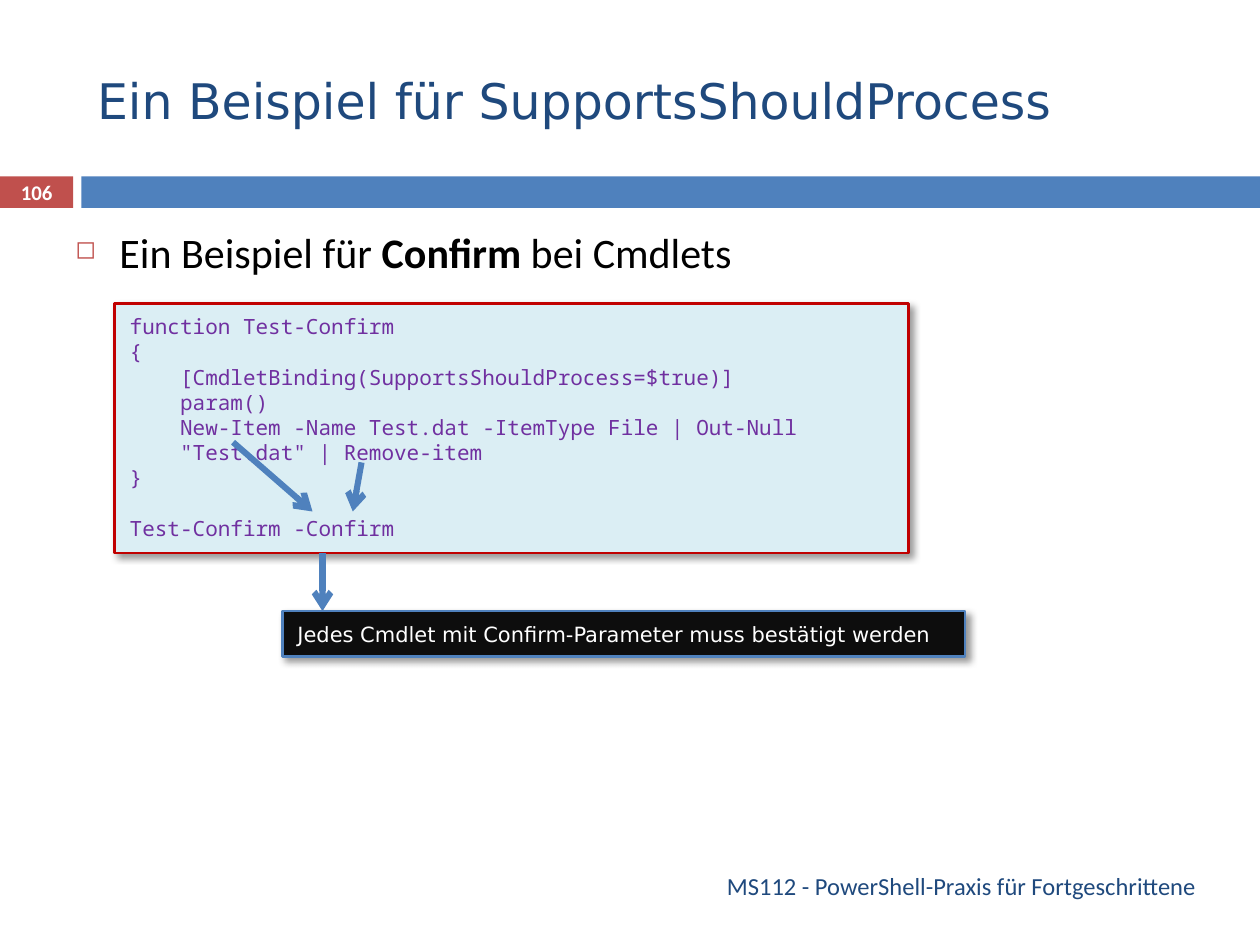
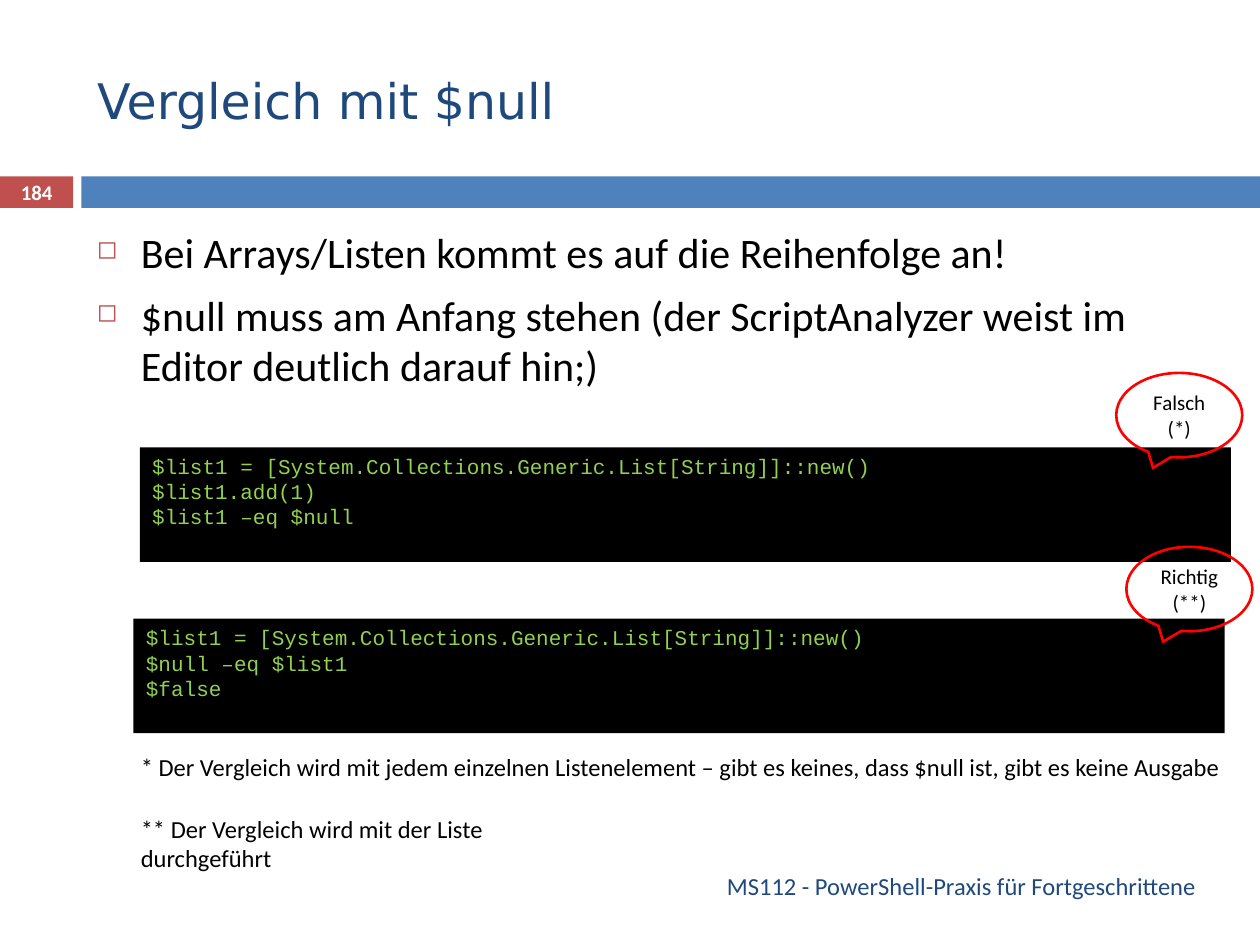
import pptx
import pptx.dml.color
import pptx.enum.shapes
import pptx.enum.text
import pptx.oxml
import pptx.oxml.ns
import pptx.util
from lxml import etree

Pt = pptx.util.Pt
SHAPE = pptx.enum.shapes.MSO_SHAPE
ALIGN = pptx.enum.text.PP_ALIGN
ANCHOR = pptx.enum.text.MSO_ANCHOR

BLUE, NAVY, RED, BLACK, WHITE = "4F81BD", "1F497D", "C0504D", "000000", "FFFFFF"
BODY_FONT, TITLE_FONT = "Calibri", "DejaVu Sans"
LEFT, WIDTH = 48.25, 642.25
CODE_INSETS = (8.64, 5.76, 7.2, 5.76)


def rgb(value):
    return pptx.dml.color.RGBColor.from_string(value)


def add_xml(parent, xml):
    ns = pptx.oxml.ns.nsdecls("a")
    for child in list(pptx.oxml.parse_xml(f"<a:wrap {ns}>{xml}</a:wrap>")):
        parent.append(child)


def write(sp, paragraphs, size=12, font=BODY_FONT, color=BLACK, bold=False,
          align=ALIGN.LEFT, anchor=ANCHOR.TOP, insets=(7.2, 3.6, 7.2, 3.6),
          bullet=False, gaps=None):
    tf = sp.text_frame
    tf.auto_size = pptx.enum.text.MSO_AUTO_SIZE.NONE
    tf.word_wrap = True
    tf.vertical_anchor = anchor
    tf.margin_left, tf.margin_top, tf.margin_right, tf.margin_bottom = map(Pt, insets)
    for i, runs in enumerate(paragraphs):
        p = tf.paragraphs[0] if i == 0 else tf.add_paragraph()
        p.alignment = align
        p.space_before = Pt((gaps or {}).get(i, 7 if bullet and i else 0))
        if bullet:
            pPr = p._p.get_or_add_pPr()
            pPr.set("marL", str(Pt(25.2)))
            pPr.set("indent", str(-Pt(25.2)))
            add_xml(pPr, f'<a:buClr><a:srgbClr val="{RED}"/></a:buClr>'
                    '<a:buSzPct val="60000"/><a:buChar char="◻"/>')
        for text, strong in [(runs, bold)] if isinstance(runs, str) else runs:
            r = p.add_run()
            r.text = text
            r.font.size, r.font.name, r.font.bold = Pt(size), font, strong
            r.font.color.rgb = rgb(color)


class Deck:
    def __init__(self):
        self.prs = pptx.Presentation()
        self.prs.slide_width, self.prs.slide_height = Pt(720), Pt(540)

    def slide(self, title, number):
        self.s = self.prs.slides.add_slide(self.prs.slide_layouts[5])
        self.shape((0, 100.8, 41.8, 18), fill=RED)
        self.shape((46.5, 100.8, 673.5, 18), fill=BLUE)
        sp = self.s.shapes.title
        sp.left, sp.top, sp.width, sp.height = map(Pt, (LEFT, 18, WIDTH, 77.75))
        write(sp, [title], size=28, font=TITLE_FONT, color=NAVY, anchor=ANCHOR.MIDDLE)
        self.text((LEFT, 491.75, WIDTH, 28.8),
                  ["MS112 - PowerShell-Praxis für Fortgeschrittene"],
                  size=14, color=NAVY, align=ALIGN.RIGHT, anchor=ANCHOR.MIDDLE)
        self.text((0, 100.1, 41.8, 19.4), [number], size=11.9, color=WHITE,
                  bold=True, align=ALIGN.CENTER, anchor=ANCHOR.MIDDLE)

    def text(self, box, paragraphs, **style):
        write(self.s.shapes.add_textbox(*map(Pt, box)), paragraphs, **style)

    def bullets(self, box, paragraphs):
        self.text(box, paragraphs, size=24, bullet=True)

    def shape(self, box, paragraphs=(), kind=SHAPE.RECTANGLE, fill=None, line=None,
              shadow=False, **style):
        sp = self.s.shapes.add_shape(kind, *map(Pt, box))
        sp.shadow.inherit = False
        if fill:
            sp.fill.solid()
            sp.fill.fore_color.rgb = rgb(fill)
        else:
            sp.fill.background()
        if line:
            sp.line.color.rgb = rgb(line)
            sp.line.width = Pt(1.5)
        else:
            sp.line.fill.background()
        if shadow:
            effects = sp._element.spPr.find(pptx.oxml.ns.qn("a:effectLst"))
            add_xml(effects, f'<a:outerShdw blurRad="{Pt(4)}" dist="{Pt(3)}" '
                    'dir="2700000" algn="tl" rotWithShape="0"><a:srgbClr val="000000">'
                    '<a:alpha val="40000"/></a:srgbClr></a:outerShdw>')
        if paragraphs:
            write(sp, paragraphs, **style)

    def arrow(self, *ends):
        c = self.s.shapes.add_connector(pptx.enum.shapes.MSO_CONNECTOR.STRAIGHT,
                                        *map(Pt, ends))
        c.line.color.rgb = rgb(BLUE)
        c.line.width = Pt(3.5)
        add_xml(c.line._get_or_add_ln(), '<a:tailEnd type="arrow"/>')
        etree.SubElement(c._element.spPr, pptx.oxml.ns.qn("a:effectLst"))

    def console(self, left, top, lines):
        self.shape((left, top, 623.5, 65.5), lines, fill=BLACK,
                   font="Courier New", color="92D050")

    def callout(self, left, top, label):
        self.shape((left, top, 72, 48.25), [label], kind=SHAPE.OVAL_CALLOUT,
                   line="FF0000", align=ALIGN.CENTER, anchor=ANCHOR.MIDDLE)


def confirm_slide(deck):
    deck.slide("Ein Beispiel für SupportsShouldProcess", "106")
    deck.bullets((36, 126, 648, 41.75), [
        [("Ein Beispiel für ", False), ("Confirm", True), (" bei Cmdlets", False)]])
    code = ["function Test-Confirm",
            "{",
            "    [CmdletBinding(SupportsShouldProcess=$true)]",
            "    param()",
            "    New-Item -Name Test.dat -ItemType File | Out-Null",
            '    "Test.dat" | Remove-item',
            "}",
            "Test-Confirm -Confirm"]
    deck.shape((65.5, 173.5, 453.6, 142.5), code, fill="DBEEF4", line="C00000",
               shadow=True, font="Noto Sans Mono", color="7030A0",
               insets=CODE_INSETS, gaps={7: 14.4})
    deck.arrow(206.6, 264.25, 201.6, 292.3)
    deck.arrow(133.2, 252.7, 178.6, 292.3)
    deck.arrow(184.3, 316, 184.3, 349.2)
    deck.shape((161.3, 349.2, 390.25, 25.9),
               ["Jedes Cmdlet mit Confirm-Parameter muss bestätigt werden"],
               fill="0D0D0D", line=BLUE, shadow=True, font=TITLE_FONT, color=WHITE,
               insets=CODE_INSETS)


def null_slide(deck):
    deck.slide("Vergleich mit $null", "184")
    deck.bullets((LEFT, 126, WIDTH, 354.25), [
        "Bei Arrays/Listen kommt es auf die Reihenfolge an!",
        "$null muss am Anfang stehen (der ScriptAnalyzer weist im "
        "Editor deutlich darauf hin;)"])
    new_list = "$list1 = [System.Collections.Generic.List[String]]::new()"
    deck.console(79.9, 255.6, [new_list, "$list1.add(1)", "$list1 –eq $null"])
    deck.console(76.3, 353.5, [new_list, "$null –eq $list1", "$false"])
    deck.callout(637.9, 213.1, "Falsch (*)")
    deck.callout(643.7, 312.5, "Richtig (**)")
    deck.text((73.4, 426.25, 636.5, 24.5), [
        "* Der Vergleich wird mit jedem einzelnen Listenelement – gibt es keines, "
        "dass $null ist, gibt es keine Ausgabe"], size=14)
    deck.text((73.4, 461.5, 283.7, 24.5),
              ["** Der Vergleich wird mit der Liste durchgeführt"], size=14)


def main():
    deck = Deck()
    confirm_slide(deck)
    null_slide(deck)
    deck.prs.save("out.pptx")


if __name__ == "__main__":
    main()
